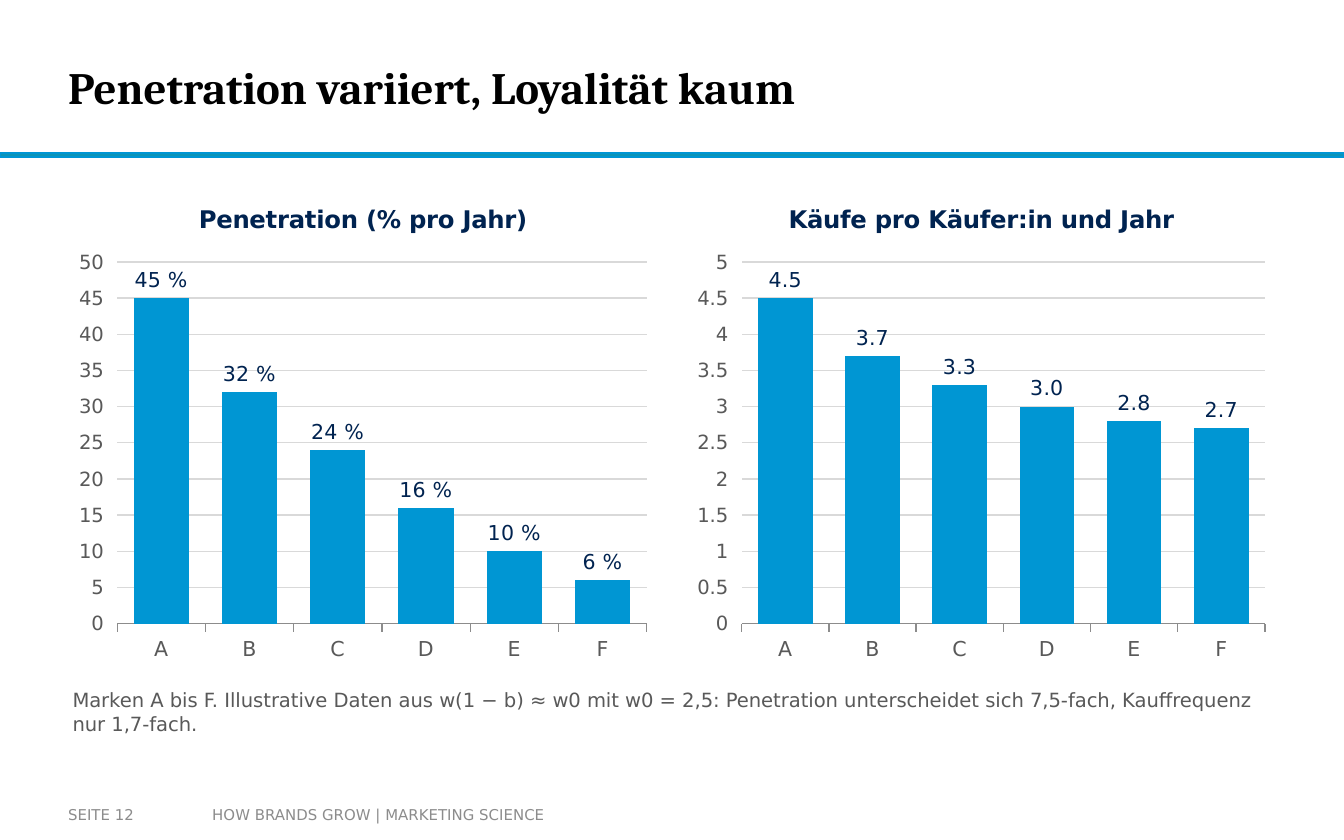
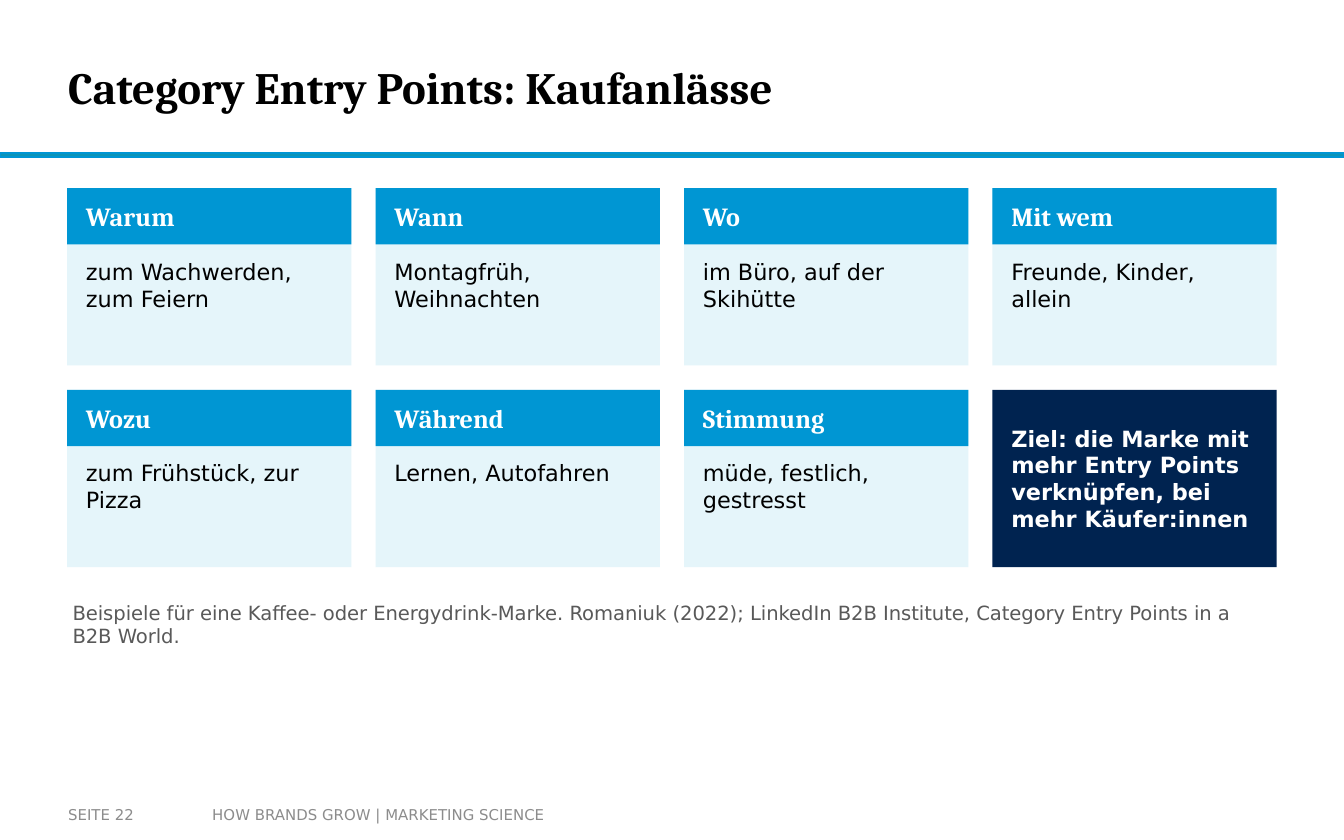
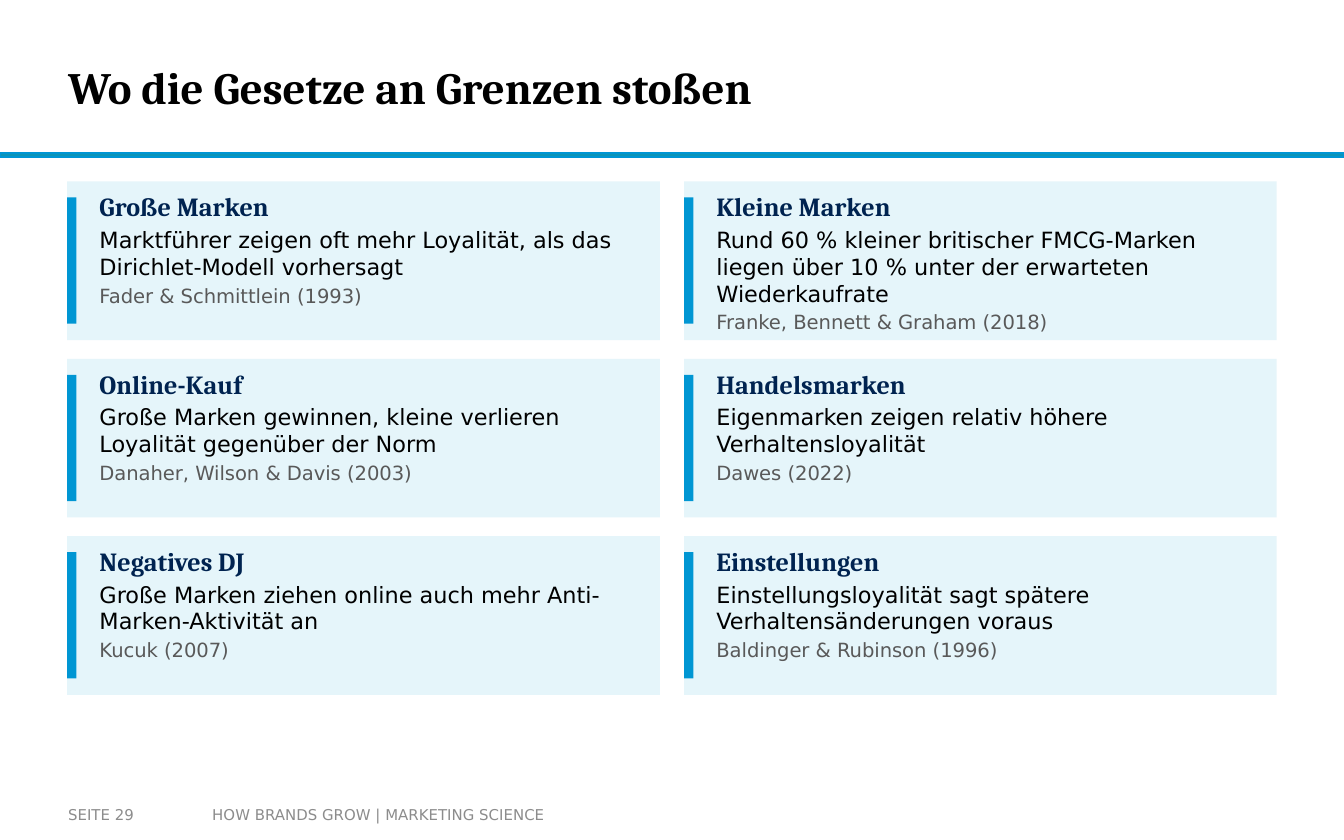
from pptx import Presentation
from pptx.chart import data
from pptx.dml import color
from pptx.enum import chart as ch, shapes, text
from pptx.util import Pt

# Shared look
rgb = color.RGBColor.from_string
SERIF, SANS = "Cambria", "DejaVu Sans"
BLUE, NAVY, PALE = "0096D3", "002350", "E5F5FA"
BLACK, WHITE, GRAY, MUTED = "000000", "FFFFFF", "595959", "8C8C8C"
TOP, MID = text.MSO_ANCHOR.TOP, text.MSO_ANCHOR.MIDDLE
LEFT, MIDDLE = text.PP_ALIGN.LEFT, text.PP_ALIGN.CENTER
EDGE, WIDE, GAP = 36, 648, 12.96


def place(page, x, y, w, h, fill=None, inset=(2.88, 1.44), anchor=TOP, grow=True):
    """Add a filled rectangle, or a text box when there is no fill."""
    at = [Pt(v) for v in (x, y, w, h)]
    if fill:
        item = page.shapes.add_shape(shapes.MSO_SHAPE.RECTANGLE, *at)
        item.shadow.inherit = False
        item.fill.solid()
        item.fill.fore_color.rgb = rgb(fill)
        item.line.fill.background()
        return item
    frame = page.shapes.add_textbox(*at).text_frame
    frame.word_wrap = True
    frame.vertical_anchor = anchor
    frame.margin_left = frame.margin_right = Pt(inset[0])
    frame.margin_top = frame.margin_bottom = Pt(inset[1])
    if grow:
        frame.auto_size = text.MSO_AUTO_SIZE.SHAPE_TO_FIT_TEXT
    return frame


def write(frame, words, size=12, ink=BLACK, face=SANS, bold=False, after=0, align=LEFT):
    """Fill the empty first paragraph, or append a new one."""
    para = frame.paragraphs[0]
    if para.runs:
        para = frame.add_paragraph()
    para.alignment = align
    para.space_after = Pt(after)
    run = para.add_run()
    run.text = words
    run.font.size, run.font.name, run.font.bold = Pt(size), face, bold
    run.font.color.rgb = rgb(ink)


deck = Presentation()
deck.slide_width, deck.slide_height = Pt(720), Pt(450)

# Title style, set on the layout
layout = deck.slide_layouts[5]
head = layout.placeholders[0]
head.left, head.top, head.width, head.height = Pt(36.5), Pt(10.8), Pt(538.5), Pt(71.3)
frame = head.text_frame
frame.margin_left = frame.margin_right = frame.margin_top = frame.margin_bottom = 0
frame.vertical_anchor = MID
frame.auto_size = text.MSO_AUTO_SIZE.NONE

# Title, rule and footer of every slide
pages = []
for title, number in [
    ("Penetration variiert, Loyalität kaum", 12),
    ("Category Entry Points: Kaufanlässe", 22),
    ("Wo die Gesetze an Grenzen stoßen", 29),
]:
    page = deck.slides.add_slide(layout)
    write(page.shapes.title.text_frame, title, size=24, face=SERIF, bold=True)
    rule = place(page, 0, 82, 720, 2.2, "0C94B7")
    rule.line.color.rgb = rgb(BLUE)
    rule.line.width = Pt(1)
    for x, w, pad, words in [
        (106.6, 253.4, 7.2, "HOW BRANDS GROW | MARKETING SCIENCE"),
        (36.5, 70.2, 0, f"SEITE {number}"),
    ]:
        foot = place(page, x, 426.2, w, 20.2, inset=(pad, 3.6), anchor=MID, grow=False)
        write(foot, words, size=8, ink=MUTED)
    pages.append(page)
graphs, points, limits = pages

# Slide 1: two column charts
for x, title, values, top, step, form in [
    (36, "Penetration (% pro Jahr)", (45, 32, 24, 16, 10, 6), 50, 5, '0" %"'),
    (367.2, "Käufe pro Käufer:in und Jahr", (4.5, 3.7, 3.3, 3, 2.8, 2.7), 5, 0.5, "0.0"),
]:
    source = data.CategoryChartData()
    source.categories = list("ABCDEF")
    source.add_series("Series 1", values)
    chart = graphs.shapes.add_chart(
        ch.XL_CHART_TYPE.COLUMN_CLUSTERED, Pt(x), Pt(97.2), Pt(316.8), Pt(262.8), source
    ).chart
    chart.font.name, chart.font.size = SANS, Pt(18)
    chart.font.color.rgb = rgb(BLACK)
    chart.has_legend = False
    chart.has_title = True
    chart.chart_title.include_in_layout = False
    write(chart.chart_title.text_frame, title, size=13, ink=NAVY, bold=True, align=MIDDLE)

    cats, scale = chart.category_axis, chart.value_axis
    for axis, size in [(cats, 11), (scale, 10.5)]:
        axis.major_tick_mark = ch.XL_TICK_MARK.OUTSIDE
        axis.tick_labels.font.size = Pt(size)
        axis.tick_labels.font.color.rgb = rgb(GRAY)
    cats.format.line.color.rgb = rgb(MUTED)
    scale.format.line.fill.background()
    scale.minimum_scale, scale.maximum_scale, scale.major_unit = 0, top, step
    grid = scale.major_gridlines.format.line
    grid.color.rgb = rgb("D9D9D9")
    grid.width = Pt(0.75)

    plot = chart.plots[0]
    plot.gap_width = 60
    plot.vary_by_categories = False
    bars = plot.series[0]
    bars.invert_if_negative = False
    bars.format.fill.solid()
    bars.format.fill.fore_color.rgb = rgb(BLUE)
    labels = bars.data_labels
    labels.show_value = True
    labels.position = ch.XL_LABEL_POSITION.OUTSIDE_END
    labels.number_format, labels.number_format_is_linked = form, False
    labels.font.size = Pt(11)
    labels.font.color.rgb = rgb(NAVY)

# Slide 2: grid of entry points, four to a row
cards = [
    ("Warum", "zum Wachwerden, zum Feiern"),
    ("Wann", "Montagfrüh, Weihnachten"),
    ("Wo", "im Büro, auf der Skihütte"),
    ("Mit wem", "Freunde, Kinder, allein"),
    ("Wozu", "zum Frühstück, zur Pizza"),
    ("Während", "Lernen, Autofahren"),
    ("Stimmung", "müde, festlich, gestresst"),
    (None, "Ziel: die Marke mit mehr Entry Points verknüpfen, bei mehr Käufer:innen"),
]
wide = (WIDE - 3 * GAP) / 4
inner = wide - 14.4
for i, (name, words) in enumerate(cards):
    row, col = divmod(i, 4)
    x, y = EDGE + col * (wide + GAP), 100.8 + row * 108
    place(points, x, y, wide, 95, PALE if name else NAVY)
    if name:
        place(points, x, y, wide, 30.2, BLUE)
        label = place(points, x + 7.2, y, inner, 30.2, anchor=MID)
        write(label, name, size=14, ink=WHITE, face=SERIF, bold=True)
        write(place(points, x + 7.2, y + 36, inner, 57.6), words, after=6)
    else:
        goal = place(points, x + 7.2, y + 3.6, inner, 87.8, anchor=MID)
        write(goal, words, ink=WHITE, bold=True, after=6)

# Notes below the charts and the grid
for page, y, words in [
    (graphs, 367.2, "Marken A bis F. Illustrative Daten aus w(1 − b) ≈ w0 mit w0 = 2,5: "
     "Penetration unterscheidet sich 7,5-fach, Kauffrequenz nur 1,7-fach."),
    (points, 320.4, "Beispiele für eine Kaffee- oder Energydrink-Marke. Romaniuk (2022); "
     "LinkedIn B2B Institute, Category Entry Points in a B2B World."),
]:
    write(place(page, EDGE, y, WIDE, 25.2), words, size=10.5, ink=GRAY)

# Slide 3: findings, two to a row
finds = [
    ("Große Marken", "Marktführer zeigen oft mehr Loyalität, als das Dirichlet-Modell vorhersagt",
     "Fader & Schmittlein (1993)"),
    ("Kleine Marken", "Rund 60 % kleiner britischer FMCG-Marken liegen über 10 % "
     "unter der erwarteten Wiederkaufrate", "Franke, Bennett & Graham (2018)"),
    ("Online-Kauf", "Große Marken gewinnen, kleine verlieren Loyalität gegenüber der Norm",
     "Danaher, Wilson & Davis (2003)"),
    ("Handelsmarken", "Eigenmarken zeigen relativ höhere Verhaltensloyalität", "Dawes (2022)"),
    ("Negatives DJ", "Große Marken ziehen online auch mehr Anti-Marken-Aktivität an",
     "Kucuk (2007)"),
    ("Einstellungen", "Einstellungsloyalität sagt spätere Verhaltensänderungen voraus",
     "Baldinger & Rubinson (1996)"),
]
wide = (WIDE - GAP) / 2
for i, (name, words, cite) in enumerate(finds):
    row, col = divmod(i, 2)
    x, y = EDGE + col * (wide + GAP), 97.2 + row * 95
    place(limits, x, y, wide, 85, PALE)
    place(limits, x, y + 8.6, 5, 67.7, BLUE)
    body = place(limits, x + 14.4, y + 3.6, wide - 21.6, 79.2)
    write(body, name, size=14, ink=NAVY, face=SERIF, bold=True, after=2)
    write(body, words, after=2)
    write(body, cite, size=10.5, ink=GRAY, after=2)

deck.save("out.pptx")
